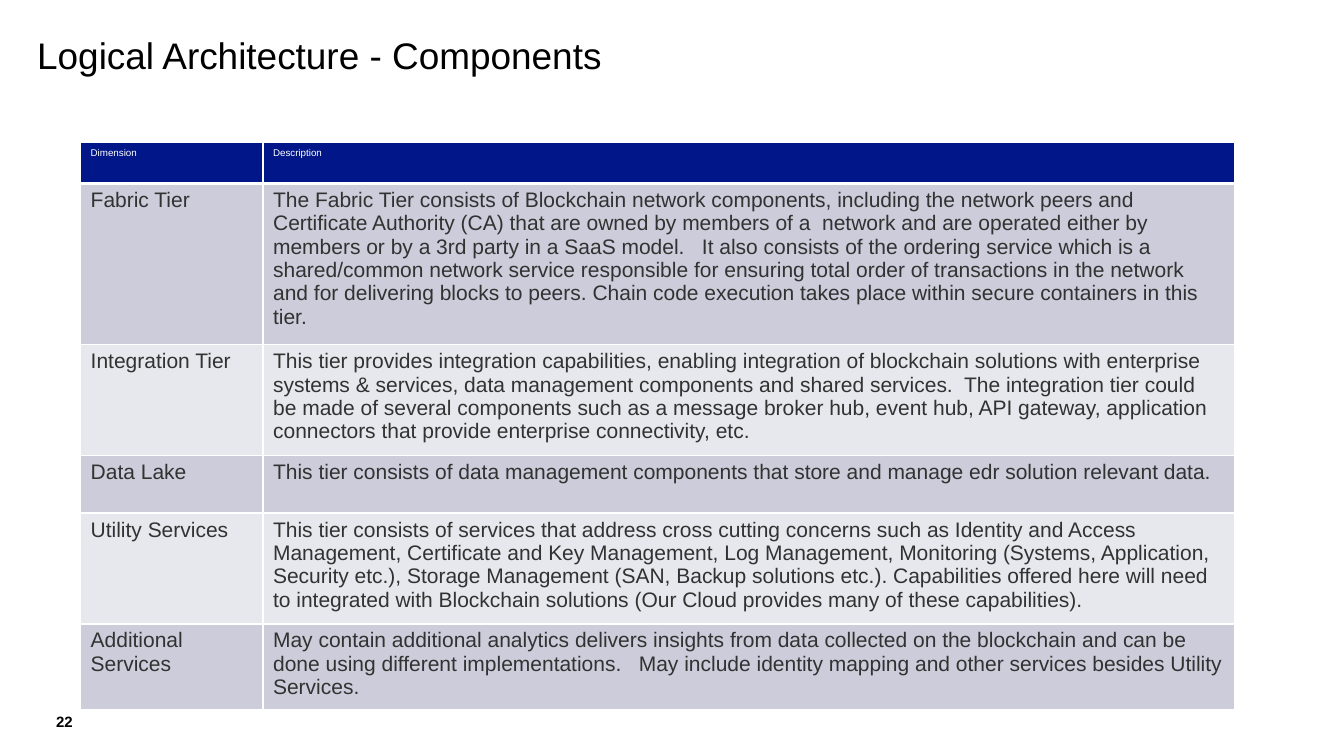
import pptx
import pptx.util
import pptx.dml.color
import pptx.enum.text
import pptx.oxml

Pt = pptx.util.Pt
FONT = "Arial"
HEX = {
    "black": "000000",
    "white": "FFFFFF",
    "navy": "001689",
    "ink": "323232",
    "dark": "CCCCDA",
    "light": "E7E8ED",
}
COLS = (130.3, 694.1)
HIGH = (29.5, 113.4, 78.3, 41, 78.3, 59.7)
ROWS = (
    ("Dimension", "Description"),
    ("Fabric Tier",
     "The Fabric Tier consists of Blockchain network components, including the "
     "network peers and Certificate Authority (CA) that are owned by members of "
     "a  network and are operated either by members or by a 3rd party in a SaaS "
     "model.   It also consists of the ordering service which is a shared/common "
     "network service responsible for ensuring total order of transactions in "
     "the network and for delivering blocks to peers. Chain code execution takes "
     "place within secure containers in this tier."),
    ("Integration Tier",
     "This tier provides integration capabilities, enabling integration of "
     "blockchain solutions with enterprise systems & services, data management "
     "components and shared services.  The integration tier could be made of "
     "several components such as a message broker hub, event hub, API gateway, "
     "application connectors that provide enterprise connectivity, etc."),
    ("Data Lake",
     "This tier consists of data management components that store and manage "
     "edr solution relevant data."),
    ("Utility Services",
     "This tier consists of services that address cross cutting concerns such as "
     "Identity and Access Management, Certificate and Key Management, Log "
     "Management, Monitoring (Systems, Application, Security etc.), Storage "
     "Management (SAN, Backup solutions etc.). Capabilities offered here will "
     "need to integrated with Blockchain solutions (Our Cloud provides many of "
     "these capabilities)."),
    ("Additional Services",
     "May contain additional analytics delivers insights from data collected on "
     "the blockchain and can be done using different implementations.   May "
     "include identity mapping and other services besides Utility Services."),
)


def color(name):
    return pptx.dml.color.RGBColor.from_string(HEX[name])


def style(para, size, tint, bold=False):
    para.font.name = FONT
    para.font.size = Pt(size)
    para.font.bold = bold
    para.font.color.rgb = color(tint)


def label(slide, box, text, size, bold=False):
    """Add a text box without insets and return its frame."""
    frame = slide.shapes.add_textbox(*map(Pt, box)).text_frame
    frame.word_wrap = True
    frame.margin_left = frame.margin_right = 0
    frame.margin_top = frame.margin_bottom = 0
    frame.text = text
    style(frame.paragraphs[0], size, "black", bold)
    return frame


def title(slide, box):
    frame = label(slide, box, "Logical Architecture - Components", 26.4)
    frame.paragraphs[0].line_spacing = 0.9


def number(slide, box):
    frame = label(slide, box, "22", 10.7, True)
    frame.vertical_anchor = pptx.enum.text.MSO_ANCHOR.MIDDLE
    frame.paragraphs[0].alignment = pptx.enum.text.PP_ALIGN.CENTER


def border(cell, base):
    """Draw white cell edges; base is the width of the lower one."""
    props = cell._tc.get_or_add_tcPr()
    edges = (("L", 1), ("R", 1), ("T", 1), ("B", base))
    for spot, (side, width) in enumerate(edges):
        line = pptx.oxml.parse_xml(
            f'<a:ln{side} xmlns:a="http://schemas.openxmlformats.org/drawingml/2006/main"'
            f' w="{int(Pt(width))}"><a:solidFill><a:srgbClr val="{HEX["white"]}"/>'
            f'</a:solidFill></a:ln{side}>')
        props.insert(spot, line)


def tiers(slide, box):
    table = slide.shapes.add_table(len(ROWS), len(COLS), *map(Pt, box)).table
    for col, width in zip(table.columns, COLS):
        col.width = Pt(width)
    for i, texts in enumerate(ROWS):
        table.rows[i].height = Pt(HIGH[i])
        head = i == 0
        fill = "navy" if head else "dark" if i % 2 else "light"
        for j, text in enumerate(texts):
            cell = table.cell(i, j)
            cell.text = text
            cell.fill.solid()
            cell.fill.fore_color.rgb = color(fill)
            border(cell, 3 if head else 1)
            style(cell.text_frame.paragraphs[0], 7 if head else 15,
                  "white" if head else "ink")


def main():
    deck = pptx.Presentation()
    deck.slide_width, deck.slide_height = Pt(960), Pt(540)
    slide = deck.slides.add_slide(deck.slide_layouts[6])
    # Heading
    title(slide, (26.6, 26.6, 905, 31))
    # Component table
    tiers(slide, (57.6, 101.5, sum(COLS), sum(HIGH)))
    # Page number
    number(slide, (26.6, 504.7, 38.9, 20.9))
    deck.save("out.pptx")


if __name__ == "__main__":
    main()
